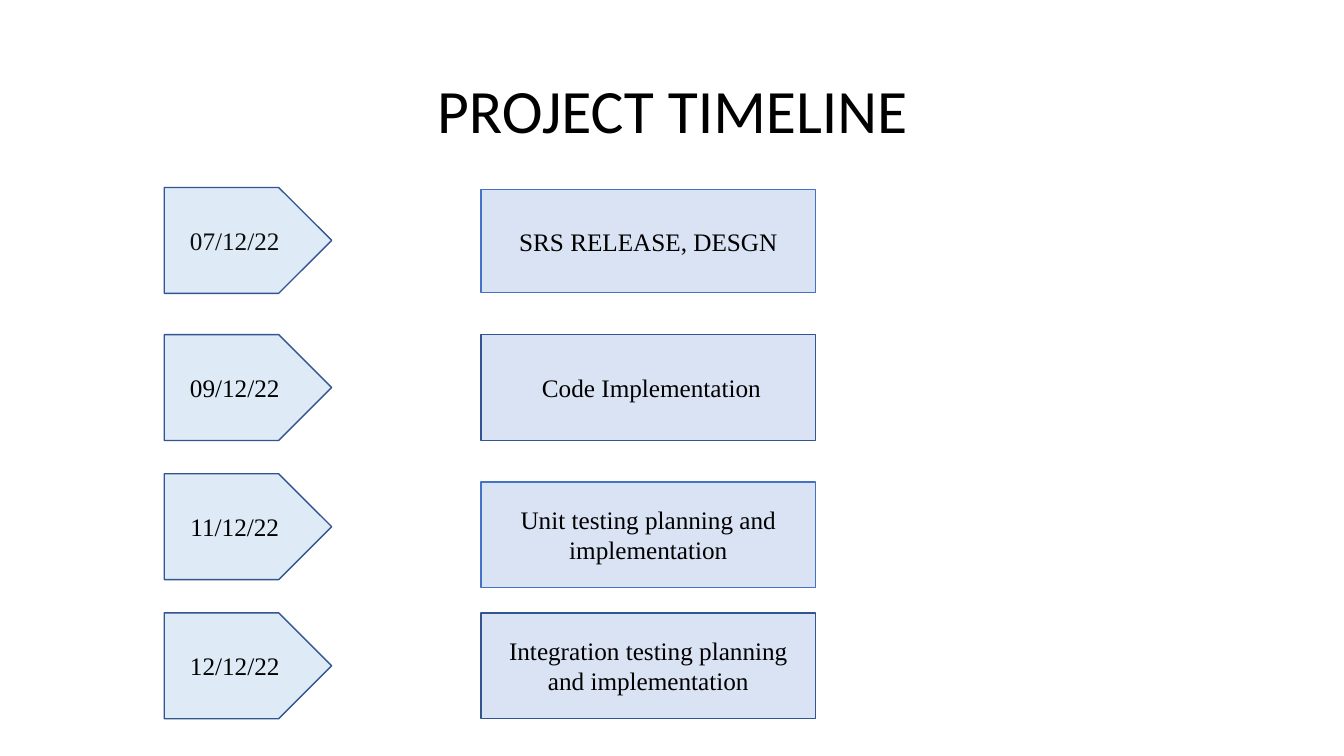
from pptx import Presentation
from pptx.dml.color import RGBColor
from pptx.enum.shapes import MSO_SHAPE
from pptx.enum.text import MSO_ANCHOR, PP_ALIGN
from pptx.util import Inches, Pt

DATE_FILL, TASK_FILL = "DEEBF7", "DAE3F3"
NAVY, BLUE = "325491", "4472C4"
BLACK, SOFT_BLACK = "000000", "0D0D0D"
DATE_LEFT, DATE_WIDTH = 1.63, 1.66
TASK_LEFT, TASK_WIDTH = 4.77, 3.32
HEIGHT = 1.05

# date, date top, date colour, task, task top, task height, task outline
MILESTONES = [
    ("07/12/22", 1.86, SOFT_BLACK, "SRS RELEASE, DESGN", 1.88, 1.02, BLUE),
    ("09/12/22", 3.32, BLACK, " Code Implementation", 3.32, HEIGHT, NAVY),
    ("11/12/22", 4.7, BLACK, "Unit testing planning and implementation", 4.78, HEIGHT, BLUE),
    ("12/12/22", 6.08, BLACK, "Integration testing planning and implementation", 6.08, HEIGHT, NAVY),
]


def color(value):
    return RGBColor.from_string(value)


def write_text(box, text, font_name, size, text_color):
    frame = box.text_frame
    frame.word_wrap = True
    frame.vertical_anchor = MSO_ANCHOR.MIDDLE
    para = frame.paragraphs[0]
    para.text = text
    para.alignment = PP_ALIGN.CENTER
    para.font.name = font_name
    para.font.size = Pt(size)
    para.font.color.rgb = color(text_color)
    return para


def add_title(page, text):
    box = page.shapes.add_textbox(Inches(0.92), Inches(0.4), Inches(11.5), Inches(1.45))
    para = write_text(box, text, "Calibri", 44, BLACK)
    para.line_spacing = 0.9


def add_block(page, kind, left, top, width, height, text, fill, outline, text_color=BLACK):
    box = page.shapes.add_shape(kind, Inches(left), Inches(top), Inches(width), Inches(height))
    box.shadow.inherit = False
    box.fill.solid()
    box.fill.fore_color.rgb = color(fill)
    box.line.color.rgb = color(outline)
    box.line.width = Pt(1)
    write_text(box, text, "Times New Roman", 18, text_color)


def main():
    deck = Presentation()
    deck.slide_width = Inches(13.33)
    deck.slide_height = Inches(7.5)
    page = deck.slides.add_slide(deck.slide_layouts[6])

    add_title(page, "PROJECT TIMELINE")

    # Each milestone: a date arrow and its task box
    for date, date_top, date_color, task, task_top, task_height, outline in MILESTONES:
        add_block(page, MSO_SHAPE.PENTAGON, DATE_LEFT, date_top, DATE_WIDTH, HEIGHT,
                  date, DATE_FILL, NAVY, date_color)
        add_block(page, MSO_SHAPE.RECTANGLE, TASK_LEFT, task_top, TASK_WIDTH, task_height,
                  task, TASK_FILL, outline)

    deck.save("out.pptx")


if __name__ == "__main__":
    main()
